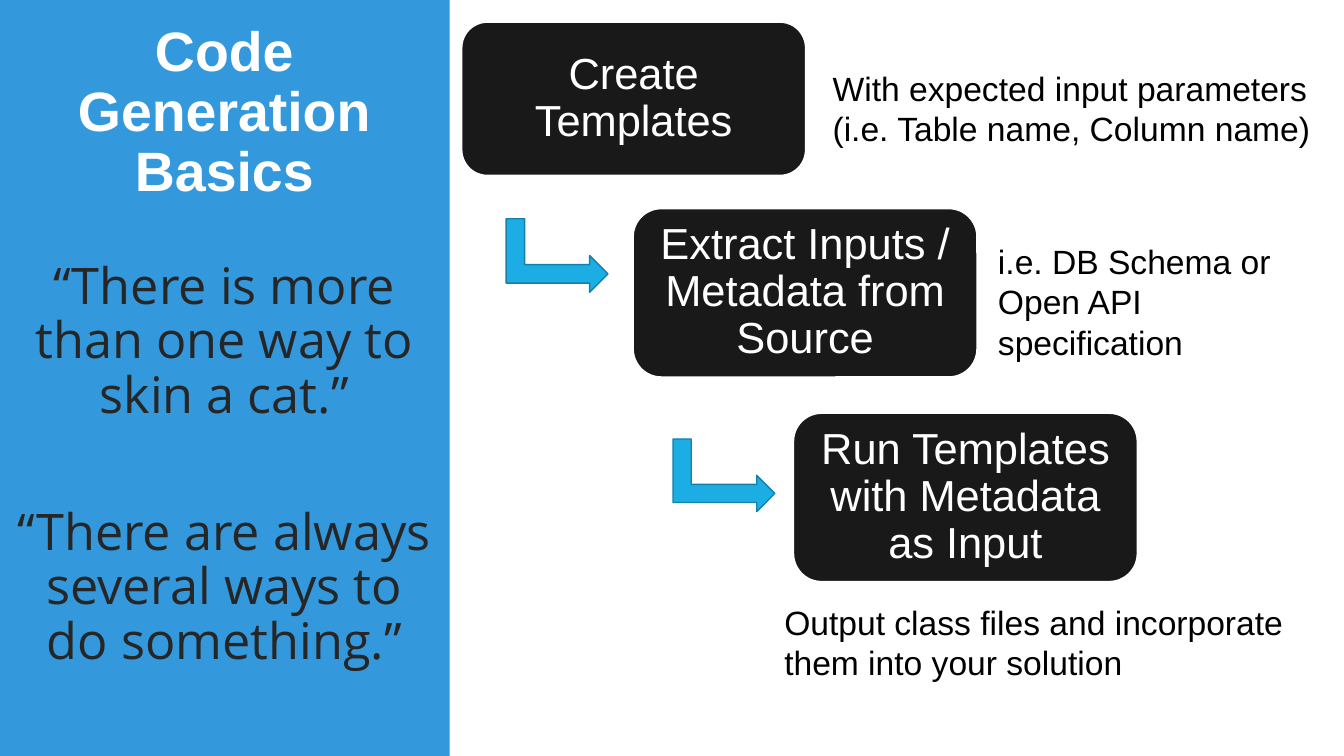
from dataclasses import dataclass

from lxml import etree
from pptx import Presentation
from pptx.dml.color import RGBColor
from pptx.enum import shapes, text
from pptx.oxml.ns import qn
from pptx.util import Inches, Pt


@dataclass(frozen=True)
class Theme:
    panel: str = "3499DC"
    accent: str = "1CADE4"
    accent_edge: str = "1580A9"
    black: str = "000000"
    white: str = "FFFFFF"
    quote: str = "262626"
    title_size: float = 39.6
    quote_size: float = 36
    step_size: float = 31
    note_size: float = 24
    font: str = "Arial"
    quote_font: str = "Open Sans"


THEME = Theme()

STEPS = [
    ("Create Templates", (4.58, 0.22, 3.41, 1.52)),
    ("Extract Inputs / Metadata from Source", (6.28, 2.07, 3.41, 1.67)),
    ("Run Templates with Metadata as Input", (7.87, 4.1, 3.41, 1.67)),
]
ARROWS = [(5.16, 2.03, 0.73, 1.01), (6.82, 4.21, 0.72, 1.01)]
NOTES = [
    ("With expected input parameters (i.e. Table name, Column name)", (8.16, 0.62, 5.06, 0.91)),
    ("i.e. DB Schema or Open API specification", (9.8, 2.34, 3.53, 1.31)),
    ("Output class files and incorporate them into your solution", (7.68, 5.92, 5.41, 0.91)),
]
QUOTES = [
    "“There is more than one way to skin a cat.”",
    "“There are always several ways to do something.”",
]


def write(tf, lines, size, color, font=THEME.font, bold=False, centered=True,
          spacing=0.9, gap=0, anchor=text.MSO_ANCHOR.TOP):
    tf.word_wrap = True
    tf.vertical_anchor = anchor
    for i, line in enumerate(lines):
        p = tf.paragraphs[0] if i == 0 else tf.add_paragraph()
        p.alignment = text.PP_ALIGN.CENTER if centered else text.PP_ALIGN.LEFT
        p.line_spacing = spacing
        if i:
            p.space_before = Pt(gap)
        r = p.add_run()
        r.text = line
        r.font.name = font
        r.font.size = Pt(size)
        r.font.bold = bold
        r.font.color.rgb = RGBColor.from_string(color)


def add_text(s, box, lines, **fmt):
    tb = s.shapes.add_textbox(*map(Inches, box))
    write(tb.text_frame, lines, **fmt)


def add_shape(s, kind, box, fill, line=None):
    sp = s.shapes.add_shape(kind, *map(Inches, box))
    sp.shadow.inherit = False
    sp.fill.solid()
    sp.fill.fore_color.rgb = RGBColor.from_string(fill)
    if line:
        sp.line.color.rgb = RGBColor.from_string(line)
        sp.line.width = Pt(1)
    else:
        sp.line.fill.background()
    return sp


def add_step(s, label, box):
    sp = add_shape(s, shapes.MSO_SHAPE.ROUNDED_RECTANGLE, box, THEME.black, THEME.white)
    color = sp.fill._xPr.find(qn("a:solidFill"))[0]
    etree.SubElement(color, qn("a:alpha"), val="90000")
    tf = sp.text_frame
    tf.margin_left = tf.margin_right = Inches(0.16)
    write(tf, [label], size=THEME.step_size, color=THEME.white,
          anchor=text.MSO_ANCHOR.MIDDLE)


def add_arrow(s, box):
    sp = add_shape(s, shapes.MSO_SHAPE.BENT_UP_ARROW, box, THEME.accent, THEME.accent_edge)
    sp.rotation = 90


def main():
    prs = Presentation()
    prs.slide_width, prs.slide_height = Inches(13.33), Inches(7.5)
    s = prs.slides.add_slide(prs.slide_layouts[6])

    add_shape(s, shapes.MSO_SHAPE.RECTANGLE, (0, 0, 4.46, 7.5), THEME.panel)
    add_text(s, (0.01, 0.31, 4.43, 1.64), ["Code Generation Basics"],
             size=THEME.title_size, color=THEME.white, bold=True,
             anchor=text.MSO_ANCHOR.MIDDLE)
    add_text(s, (0.01, 2.54, 4.43, 4.68), QUOTES, size=THEME.quote_size,
             color=THEME.quote, font=THEME.quote_font, gap=59)

    for label, box in STEPS:
        add_step(s, label, box)
    for box in ARROWS:
        add_arrow(s, box)
    for note, box in NOTES:
        add_text(s, box, [note], size=THEME.note_size, color=THEME.black,
                 centered=False, spacing=1.0)

    prs.save("out.pptx")


if __name__ == "__main__":
    main()
